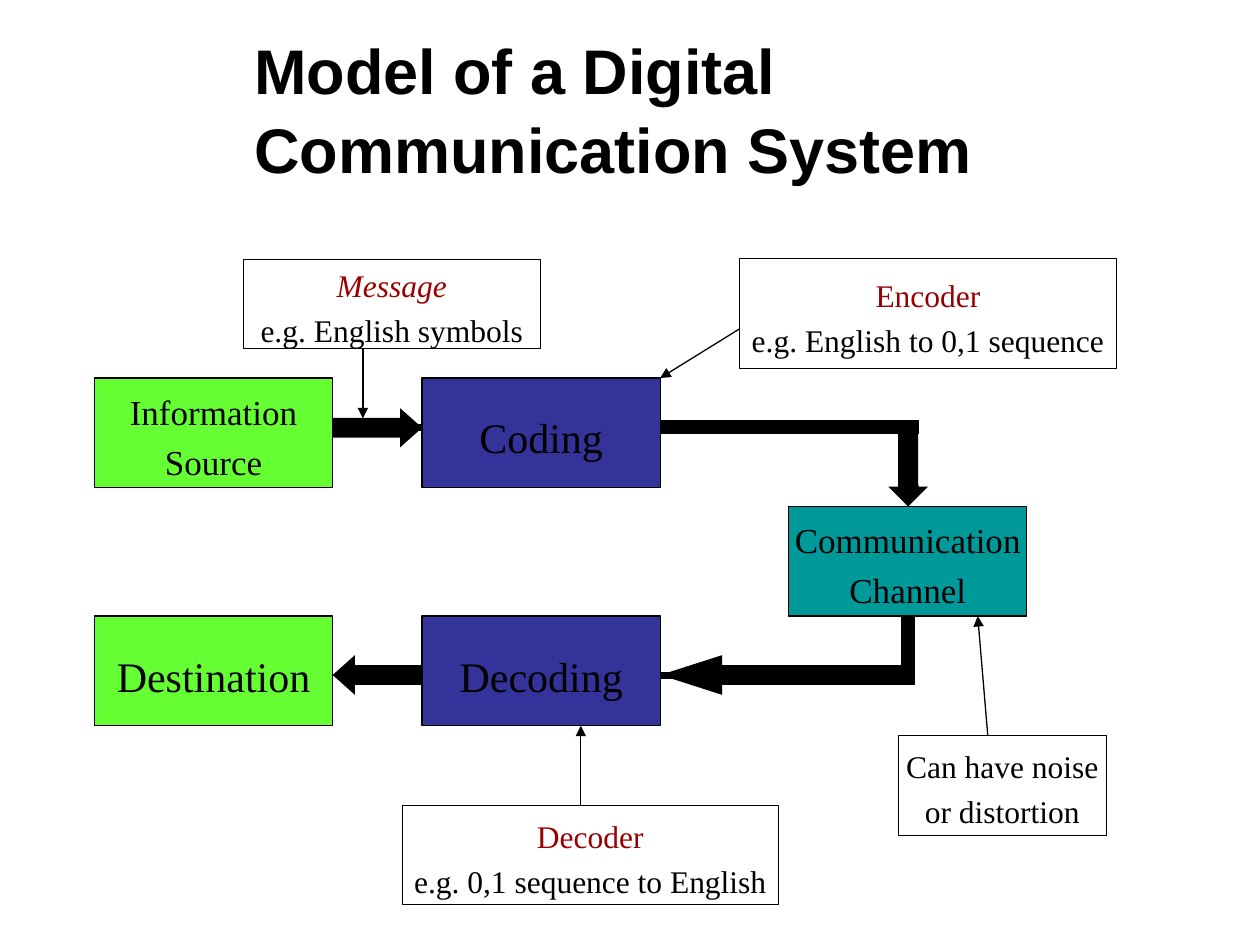
from pptx import Presentation
from pptx.dml.color import RGBColor
from pptx.enum.shapes import MSO_CONNECTOR as CONN, MSO_SHAPE as SHAPE
from pptx.enum.text import MSO_ANCHOR as ANCHOR, PP_ALIGN as ALIGN
from pptx.oxml.ns import qn
from pptx.util import Inches, Pt
from lxml.etree import SubElement

BLACK = RGBColor(0x00, 0x00, 0x00)
WHITE = RGBColor(0xFF, 0xFF, 0xFF)
GREEN = RGBColor(0x66, 0xFF, 0x33)
BLUE = RGBColor(0x33, 0x33, 0x99)
TEAL = RGBColor(0x00, 0x99, 0x99)
RED = RGBColor(0x99, 0x00, 0x00)
COLS, ROWS = 100, 75
BOX_W, BOX_H = 18.9, 8.7
LEFT, MIDDLE, RIGHT = 7.5, 33.5, 62.6
TOP, CENTRE, BOTTOM = 30, 40.2, 48.9
LEFT_END, MIDDLE_END = LEFT + BOX_W, MIDDLE + BOX_W
GAP = MIDDLE - LEFT_END
TURN = 72.1
SEND, RECEIVE = 33.9, 53.6


class Diagram:
    heading_font = "Arial"
    body_font = "Times New Roman"

    def __init__(self, prs):
        self.slide = prs.slides.add_slide(prs.slide_layouts[6])
        self.col = prs.slide_width / COLS
        self.row = prs.slide_height / ROWS

    def place(self, x, y, w, h):
        return [round(v) for v in (x * self.col, y * self.row, w * self.col, h * self.row)]

    def text_run(self, p, text, font, size, color=BLACK, bold=False, italic=False):
        r = p.add_run()
        r.text = text
        r.font.name, r.font.size = font, Pt(size)
        r.font.bold, r.font.italic = bold, italic
        r.font.color.rgb = color

    def title(self, text, *at):
        tf = self.slide.shapes.add_textbox(*self.place(*at)).text_frame
        tf.word_wrap = True
        tf.vertical_anchor = ANCHOR.MIDDLE
        p = tf.paragraphs[0]
        p.line_spacing = 1.05
        self.text_run(p, text, self.heading_font, 36, bold=True)

    def shape(self, kind, at, fill):
        sp = self.slide.shapes.add_shape(kind, *self.place(*at))
        sp.shadow.inherit = False
        sp.fill.solid()
        sp.fill.fore_color.rgb = fill
        return sp

    def box(self, at, fill, lines, size, border=0.75, head=BLACK, italic=False):
        sp = self.shape(SHAPE.RECTANGLE, at, fill)
        sp.line.color.rgb, sp.line.width = BLACK, Pt(border)
        tf = sp.text_frame
        tf.word_wrap = False
        tf.vertical_anchor = ANCHOR.MIDDLE
        tf.margin_top = Inches(0.05) + Pt(size * 0.2)
        for i, text in enumerate(lines):
            p = tf.add_paragraph() if i else tf.paragraphs[0]
            p.alignment = ALIGN.CENTER
            p.space_before = Pt(size * 0.23 if i else 0)
            self.text_run(p, text, self.body_font, size, BLACK if i else head,
                          italic=italic and not i)

    def note(self, at, lines, head=BLACK, italic=False):
        self.box(at, WHITE, lines, 18, 0.5, head, italic)

    def line(self, x1, y1, x2, y2, width=0.75, arrow=False):
        s = self.slide.shapes.add_connector(
            CONN.STRAIGHT, *self.place(x1, y1, x2, y2))
        s.line.color.rgb, s.line.width = BLACK, Pt(width)
        props = s._element.spPr
        if arrow:
            SubElement(props.find(qn("a:ln")), qn("a:tailEnd"), type="triangle")
        SubElement(props, qn("a:effectLst"))

    def block_arrow(self, kind, at, head):
        sp = self.shape(kind, at, BLACK)
        sp.line.fill.background()
        sp.adjustments[0], sp.adjustments[1] = 0.5, head


def main():
    prs = Presentation()
    prs.slide_width, prs.slide_height = Inches(10), Inches(7.5)
    d = Diagram(prs)
    d.title("Model of a Digital Communication System", 19.2, 4.3, 76.7, 8.4)

    d.line(TURN, RECEIVE, LEFT_END, RECEIVE, 4, True)
    d.line(LEFT_END, SEND, TURN, SEND, 4)
    d.line(TURN, BOTTOM, TURN, RECEIVE, 4)
    d.line(TURN, SEND, TURN, CENTRE, 4, True)

    for x, y, fill, size, lines in (
        (LEFT, BOTTOM, GREEN, 24, ["Destination"]),
        (MIDDLE, BOTTOM, BLUE, 24, ["Decoding"]),
        (RIGHT, CENTRE, TEAL, 20, ["Communication", "Channel"]),
        (MIDDLE, TOP, BLUE, 24, ["Coding"]),
        (LEFT, TOP, GREEN, 20, ["Information", "Source"]),
    ):
        d.box((x, y, BOX_W, BOX_H), fill, lines, size)

    for pointer in (
        (28.8, 27.6, 28.8, 33.2),
        (78.4, 58.4, 77.6, BOTTOM),
        (58.7, 26.1, MIDDLE_END, TOP),
        (46.1, 63.9, 46.1, BOTTOM + BOX_H),
    ):
        d.line(*pointer, arrow=True)

    d.note((19.3, 20.6, 23.6, 7.1), ["Message", "e.g. English symbols"], RED, True)
    d.note((58.7, 20.55, 29.9, 8.7), ["Encoder", "e.g. English to 0,1 sequence"], RED)
    d.note((71.3, 58.4, 16.5, 7.9), ["Can have noise", "or distortion"])
    d.note((31.9, 63.9, 29.9, 7.9), ["Decoder", "e.g. 0,1 sequence to English"], RED)

    d.block_arrow(SHAPE.RIGHT_ARROW, (LEFT_END, 32.4, GAP, 3.1), 0.56)
    d.block_arrow(SHAPE.LEFT_ARROW, (MIDDLE_END, 52, TURN - MIDDLE_END, 3.15), 1.56)
    d.line(TURN, BOTTOM, TURN, 54.4, 8)
    d.line(MIDDLE_END, SEND, 72.9, SEND, 8)
    d.block_arrow(SHAPE.DOWN_ARROW, (70.5, SEND, 3.15, CENTRE - SEND), 0.5)
    d.block_arrow(SHAPE.LEFT_ARROW, (LEFT_END, 52, GAP, 3.15), 0.56)
    prs.save("out.pptx")


if __name__ == "__main__":
    main()
